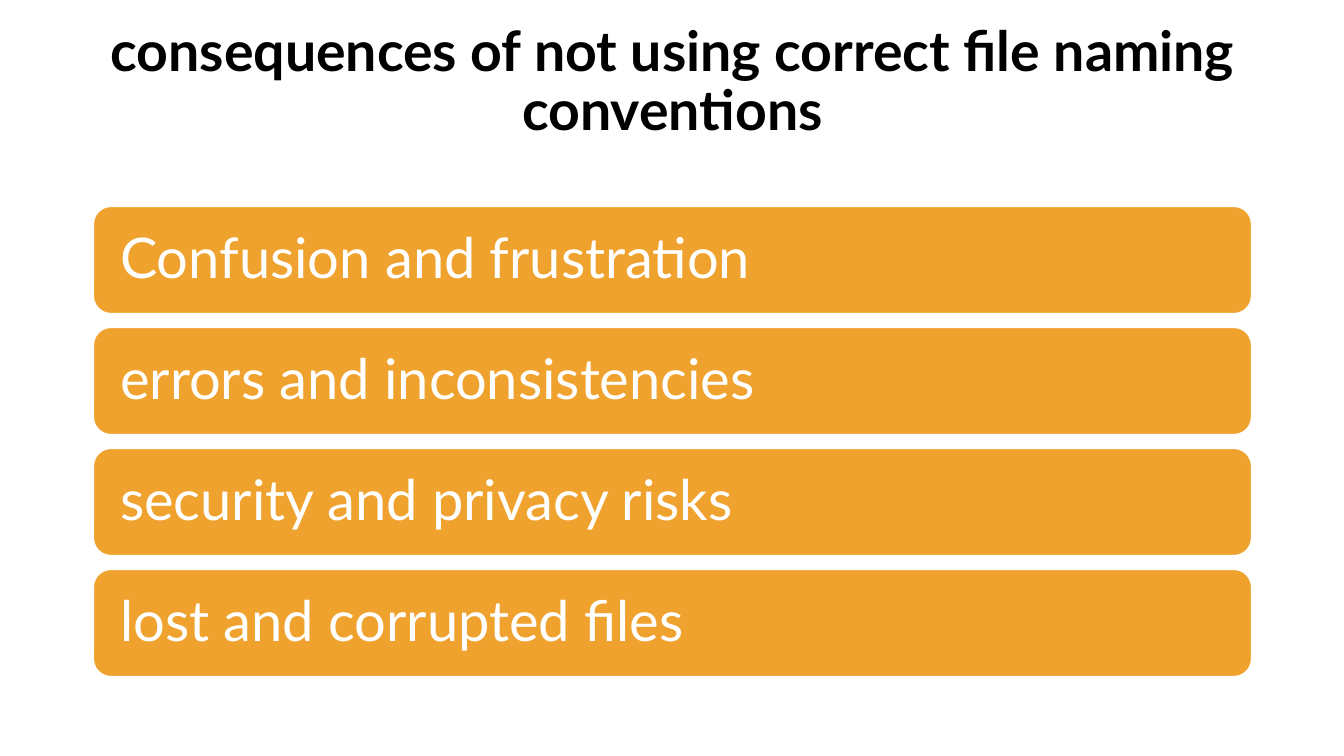
"""Build a slide listing the consequences of poor file naming."""
import pptx
import pptx.dml.color
import pptx.enum.shapes
import pptx.enum.text
import pptx.util

PX = 914400 / 100.8
FONT = "Lato"
LEFT, WIDTH = 93, 1159
BAR_TOP, BAR_HEIGHT, BAR_PITCH = 206, 108, 121
CONSEQUENCES = [
    "Confusion and frustration",
    "errors and inconsistencies",
    "security and privacy risks",
    "lost and corrupted files",
]


def px(length):
    return pptx.util.Emu(round(length * PX))


def color(value):
    return pptx.dml.color.RGBColor.from_string(value)


presentation = pptx.Presentation()
presentation.slide_width = px(1344)
presentation.slide_height = px(756)
slide = presentation.slides.add_slide(presentation.slide_layouts[5])

title = slide.shapes.title
title.left, title.top, title.width, title.height = px(LEFT), px(40), px(WIDTH), px(146)
title_frame = title.text_frame
title_frame.word_wrap = True
title_frame.auto_size = pptx.enum.text.MSO_AUTO_SIZE.NONE
title_frame.vertical_anchor = pptx.enum.text.MSO_ANCHOR.MIDDLE
title_frame.margin_bottom = px(65)
paragraph = title_frame.paragraphs[0]
paragraph.alignment = pptx.enum.text.PP_ALIGN.CENTER
paragraph.line_spacing = 0.9
run = paragraph.add_run()
run.text = "consequences of not using correct file naming conventions"
run.font.name = FONT
run.font.size = pptx.util.Pt(39.6)
run.font.bold = True
run.font.color.rgb = color("000000")

for index, consequence in enumerate(CONSEQUENCES):
    bar = slide.shapes.add_shape(
        pptx.enum.shapes.MSO_SHAPE.ROUNDED_RECTANGLE,
        px(LEFT), px(BAR_TOP + index * BAR_PITCH), px(WIDTH), px(BAR_HEIGHT),
    )
    bar.shadow.inherit = False
    bar.fill.solid()
    bar.fill.fore_color.rgb = color("F0A22E")
    bar.line.color.rgb = color("FFFFFF")
    bar.line.width = pptx.util.Pt(1.5)
    bar_frame = bar.text_frame
    bar_frame.word_wrap = True
    bar_frame.vertical_anchor = pptx.enum.text.MSO_ANCHOR.MIDDLE
    bar_frame.margin_left = bar_frame.margin_right = px(22)
    paragraph = bar_frame.paragraphs[0]
    paragraph.alignment = pptx.enum.text.PP_ALIGN.LEFT
    paragraph.line_spacing = 0.9
    run = paragraph.add_run()
    run.text = consequence
    run.font.name = FONT
    run.font.size = pptx.util.Pt(40)
    run.font.color.rgb = color("FFFFFF")

presentation.save("out.pptx")
